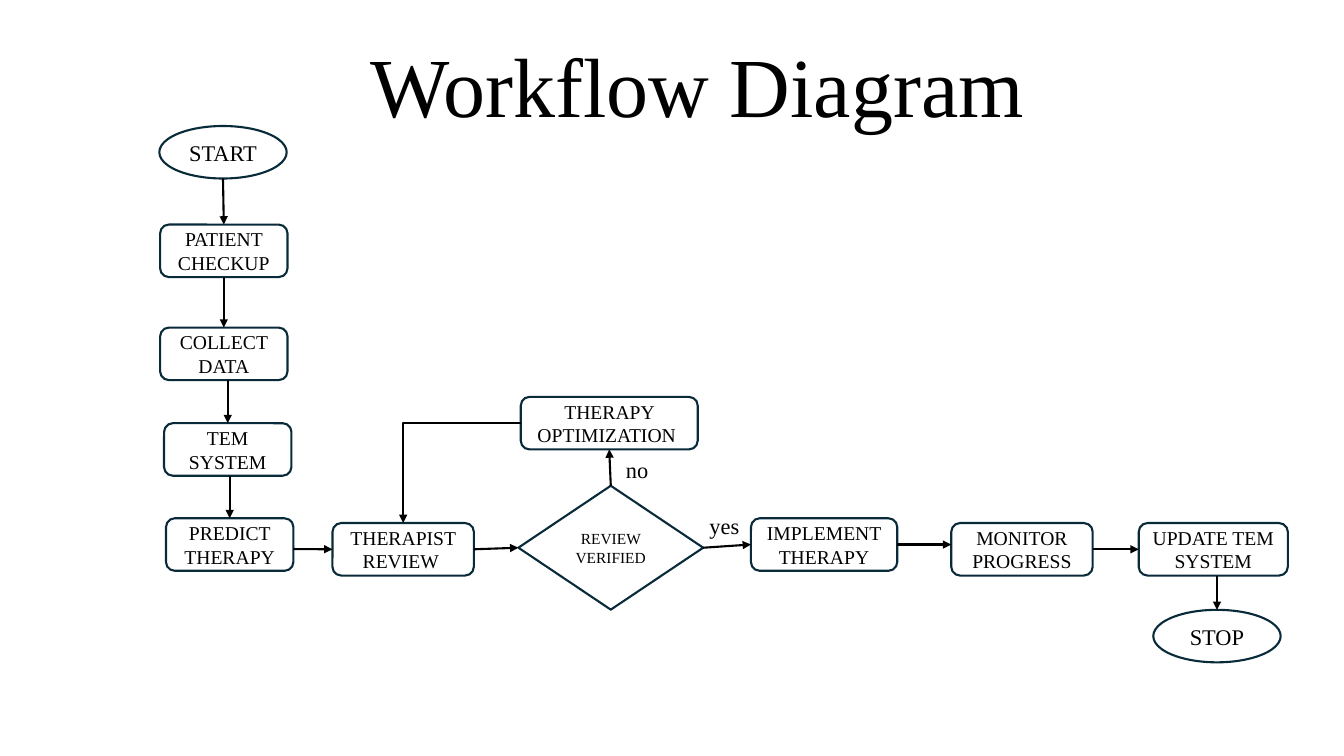
import pptx
import pptx.dml.color
import pptx.enum.shapes
import pptx.enum.text
import pptx.oxml.ns
import pptx.util
from lxml import etree

Pt = pptx.util.Pt
SHAPE = pptx.enum.shapes.MSO_SHAPE
CONNECTOR = pptx.enum.shapes.MSO_CONNECTOR
ALIGN = pptx.enum.text.PP_ALIGN
ANCHOR = pptx.enum.text.MSO_ANCHOR

FONT = "Times New Roman"
INK, PAPER, OUTLINE = "000000", "FFFFFF", "092A39"
STEP_HEIGHT = 37.5
COLUMN_WIDTH = 91
TOP, LEFT, BOTTOM, RIGHT = range(4)


def color(hex_string):
    return pptx.dml.color.RGBColor.from_string(hex_string)


def write(shape, text, size, align, anchor):
    frame = shape.text_frame
    frame.word_wrap = True
    frame.vertical_anchor = anchor
    paragraph = frame.paragraphs[0]
    paragraph.text = text
    paragraph.alignment = align
    paragraph.font.name = FONT
    paragraph.font.size = Pt(size)
    paragraph.font.color.rgb = color(INK)
    return paragraph


def add_label(slide, text, left, top, width, height, size=16,
              align=ALIGN.LEFT, anchor=ANCHOR.TOP):
    label = slide.shapes.add_textbox(Pt(left), Pt(top), Pt(width), Pt(height))
    return write(label, text, size, align, anchor)


def add_node(slide, kind, text, left, top, width, height=STEP_HEIGHT, size=14):
    node = slide.shapes.add_shape(kind, Pt(left), Pt(top), Pt(width), Pt(height))
    node.shadow.inherit = False
    node.fill.solid()
    node.fill.fore_color.rgb = color(PAPER)
    node.line.color.rgb = color(OUTLINE)
    node.line.width = Pt(1.5)
    write(node, text, size, ALIGN.CENTER, ANCHOR.MIDDLE)
    return node


def add_step(slide, text, left, top, width=COLUMN_WIDTH):
    return add_node(slide, SHAPE.ROUNDED_RECTANGLE, text, left, top, width)


def add_terminal(slide, text, left, top):
    return add_node(slide, SHAPE.OVAL, text, left, top, COLUMN_WIDTH, size=16)


def site_point(node, site):
    """Return the middle of one side of a node."""
    x = {LEFT: node.left, RIGHT: node.left + node.width}.get(
        site, node.left + node.width // 2)
    y = {TOP: node.top, BOTTOM: node.top + node.height}.get(
        site, node.top + node.height // 2)
    return x, y


def add_arrow(slide, start, end, kind=CONNECTOR.STRAIGHT):
    """Each end is a (node, site) pair, joined, or a free (x, y) in points."""
    joined = [not isinstance(place[0], (int, float)) for place in (start, end)]
    points = [site_point(*place) if is_joined else tuple(map(Pt, place))
              for place, is_joined in zip((start, end), joined)]
    arrow = slide.shapes.add_connector(kind, *points[0], *points[1])
    if joined[0]:
        arrow.begin_connect(*start)
    if joined[1]:
        arrow.end_connect(*end)
    arrow.line.color.rgb = color(INK)
    arrow.line.width = Pt(1.5)
    qn = pptx.oxml.ns.qn
    etree.SubElement(arrow.line._get_or_add_ln(), qn("a:tailEnd"), type="triangle")
    properties = arrow._element.spPr
    etree.SubElement(properties, qn("a:effectLst"))
    if kind == CONNECTOR.ELBOW:
        properties.find(qn("a:prstGeom")).set("prst", "bentConnector2")


def main():
    presentation = pptx.Presentation()
    presentation.slide_width = Pt(960)
    presentation.slide_height = Pt(540)
    slide = presentation.slides.add_slide(presentation.slide_layouts[6])

    title = add_label(slide, "Workflow Diagram", 84, 12, 828, 104.4, 60,
                      ALIGN.CENTER, ANCHOR.MIDDLE)
    title.line_spacing = 0.9

    add_terminal(slide, "START", 113.8, 90)
    checkup = add_step(slide, "PATIENT CHECKUP", 114.4, 160.4)
    collect = add_step(slide, "COLLECT DATA", 114.4, 234)
    system = add_step(slide, "TEM SYSTEM", 117.2, 302.3)
    predict = add_step(slide, "PREDICT THERAPY", 118.6, 370.2)
    review = add_step(slide, "THERAPIST REVIEW ", 237.5, 373.6, 101)
    verified = add_node(slide, SHAPE.DIAMOND, "REVIEW VERIFIED",
                        370.3, 347, 132, 88.5, size=11)
    implement = add_step(slide, "IMPLEMENT THERAPY", 536.4, 370.2, 104.5)
    monitor = add_step(slide, "MONITOR PROGRESS", 679.5, 373.6, 101)
    update = add_step(slide, "UPDATE TEM SYSTEM", 813.4, 373.6, 106.5)
    stop = add_terminal(slide, "STOP", 823.8, 435.6)
    optimization = add_step(slide, "THERAPY OPTIMIZATION ", 372, 283.5, 126.4)

    add_label(slide, "yes", 499.7, 362, 72.7, 26.6)
    add_label(slide, "no", 440, 322.6, 72.7, 26.6)

    arrows = [
        ((159.3, 127.5), (checkup, TOP)),
        ((checkup, BOTTOM), (collect, TOP)),
        ((162.7, 271.5), (system, TOP)),
        ((164.1, 339.8), (predict, TOP)),
        ((209.6, 392.2), (review, LEFT)),
        ((review, RIGHT), (verified, LEFT)),
        ((verified, TOP), (optimization, BOTTOM)),
        ((verified, RIGHT), (implement, LEFT)),
        ((implement, RIGHT), (679.5, 388.95)),
        ((monitor, RIGHT), (update, LEFT)),
        ((869.3, 411.1), (stop, TOP)),
    ]
    for start, end in arrows:
        add_arrow(slide, start, end)
    add_arrow(slide, (optimization, LEFT), (review, TOP), CONNECTOR.ELBOW)

    presentation.save("out.pptx")


if __name__ == "__main__":
    main()
